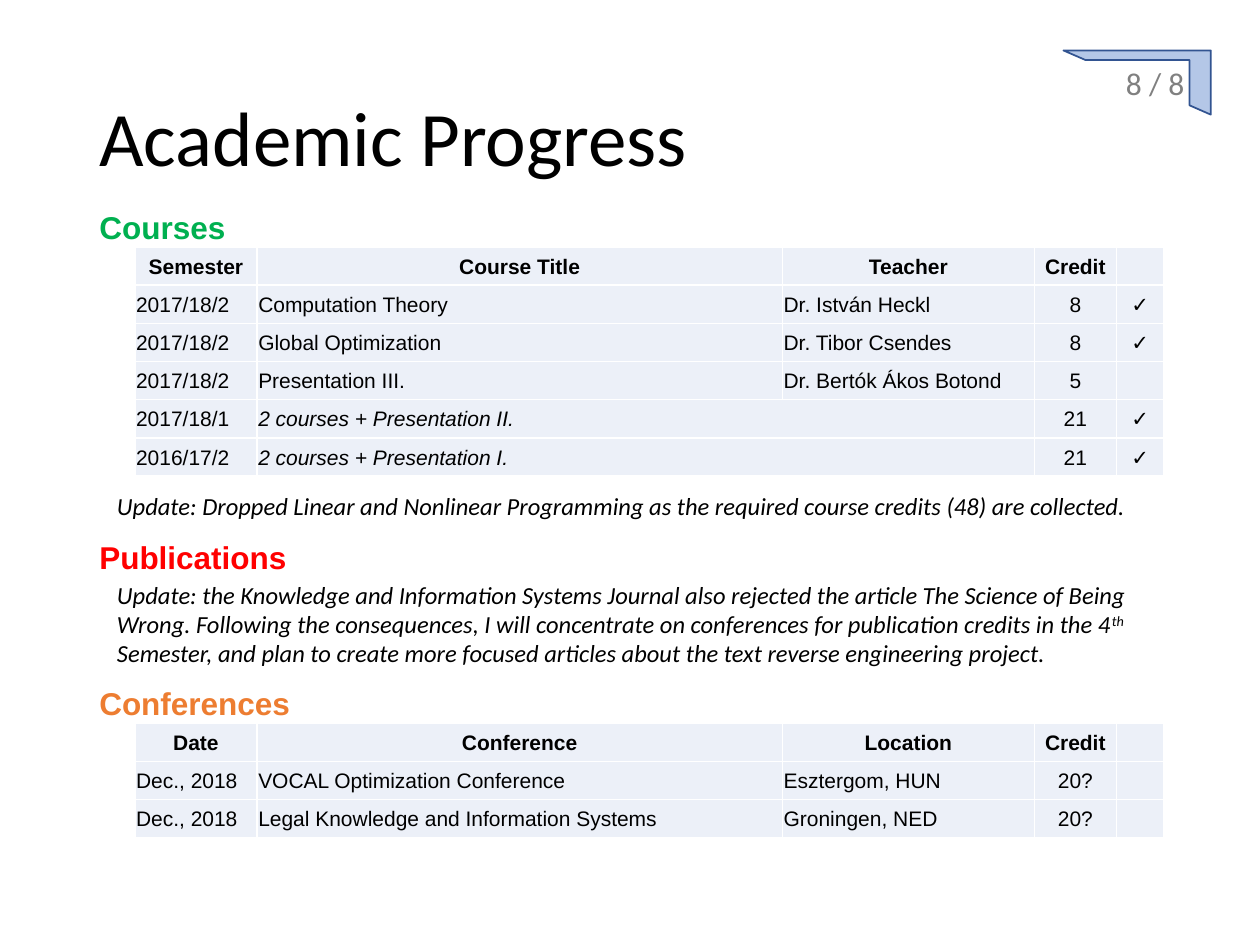
"""Builds the Academic Progress slide with its course and conference tables."""
from dataclasses import dataclass

from lxml.etree import SubElement
from pptx import Presentation
from pptx.dml.color import RGBColor
from pptx.enum.shapes import MSO_SHAPE as Preset
from pptx.enum.text import MSO_ANCHOR as Anchor, PP_ALIGN as Align
from pptx.oxml.ns import qn
from pptx.util import Inches, Pt


@dataclass(frozen=True)
class Theme:
    heading_font: str = "Arial"
    body_font: str = "Calibri"
    black: str = "000000"
    white: str = "FFFFFF"
    green: str = "00B050"
    red: str = "FF0000"
    orange: str = "ED7D31"
    grey: str = "808080"
    pale_blue: str = "B4C7E7"
    dark_blue: str = "325491"
    title_size: int = 44
    heading_size: int = 18
    note_size: int = 14
    cell_size: int = 12


theme = Theme()


def add_span(para, text, font, size, color, bold=False, italic=False):
    span = para.add_run()
    span.text = text
    span.font.name = font
    span.font.size = Pt(size)
    span.font.color.rgb = RGBColor.from_string(color)
    span.font.bold = bold
    span.font.italic = italic
    return span


def add_box(left, top, width, height, wrap=False):
    box = page.shapes.add_textbox(Inches(left), Inches(top), Inches(width), Inches(height))
    box.text_frame.word_wrap = wrap
    return box.text_frame


deck = Presentation()
deck.slide_width, deck.slide_height = Inches(10), Inches(7.5)
page = deck.slides.add_slide(deck.slide_layouts[6])

title = add_box(0.69, 0.4, 8.62, 1.45, wrap=True)
title.vertical_anchor = Anchor.MIDDLE
title.paragraphs[0].line_spacing = 0.9
add_span(title.paragraphs[0], "Academic Progress", theme.body_font, theme.title_size, theme.black)

courses = [
    ("Semester", "Course Title", "Teacher", "Credit", ""),
    ("2017/18/2", "Computation Theory", "Dr. István Heckl", "8", "✓"),
    ("2017/18/2", "Global Optimization", "Dr. Tibor Csendes", "8", "✓"),
    ("2017/18/2", "Presentation III.", "Dr. Bertók Ákos Botond", "5", ""),
    ("2017/18/1", "2 courses + Presentation II.", None, "21", "✓"),
    ("2016/17/2", "2 courses + Presentation I.", None, "21", "✓"),
]
conferences = [
    ("Date", "Conference", "Location", "Credit", ""),
    ("Dec., 2018", "VOCAL Optimization Conference", "Esztergom, HUN", "20?", ""),
    ("Dec., 2018", "Legal Knowledge and Information Systems", "Groningen, NED", "20?", ""),
]
column_widths = [0.97, 4.17, 2, 0.65, 0.38]

for top, height, records in [(1.96, 1.82, courses), (5.74, 0.91, conferences)]:
    table = page.shapes.add_table(
        len(records), len(column_widths), Inches(1.07), Inches(top), Inches(8.17), Inches(height)
    ).table
    table.first_row = table.horz_banding = False
    for column, width in zip(table.columns, column_widths):
        column.width = Inches(width)
    for row_index, record in enumerate(records):
        table.rows[row_index].height = Inches(height / len(records))
        merged = record[2] is None
        if merged:
            table.cell(row_index, 1).merge(table.cell(row_index, 2))
        for column_index, text in enumerate(record):
            cell = table.cell(row_index, column_index)
            cell.vertical_anchor = Anchor.MIDDLE
            cell.margin_left = cell.margin_right = cell.margin_top = Inches(0.01)
            cell.margin_bottom = 0
            properties = cell._tc.get_or_add_tcPr()
            for side in ("a:lnL", "a:lnR", "a:lnT", "a:lnB"):
                border = SubElement(properties, qn(side), w=str(Pt(1)))
                paint = SubElement(border, qn("a:solidFill"))
                SubElement(paint, qn("a:srgbClr"), val=theme.white)
            cell.fill.solid()
            cell.fill.fore_color.rgb = RGBColor.from_string(theme.pale_blue)
            tint = properties.find(qn("a:solidFill")).find(qn("a:srgbClr"))
            SubElement(tint, qn("a:alpha"), val="25000")
            para = cell.text_frame.paragraphs[0]
            header = row_index == 0
            para.alignment = Align.CENTER if header or column_index > 2 else Align.LEFT
            if text:
                add_span(para, text, theme.heading_font, theme.cell_size, theme.black,
                         bold=header, italic=merged and column_index == 1)
            else:
                SubElement(para._p, qn("a:endParaRPr"), sz=str(theme.cell_size * 100))

for text, top, width, color in [
    ("Courses", 1.6, 1.21, theme.green),
    ("Publications", 4.22, 1.7, theme.red),
    ("Conferences", 5.38, 1.73, theme.orange),
]:
    heading = add_box(0.69, top, width, 0.4)
    add_span(heading.paragraphs[0], text, theme.heading_font, theme.heading_size, color, bold=True)

course_update = [
    ("Update: Dropped Linear and Nonlinear Programming as the required course credits (48) "
     "are collected.", False),
]
publication_update = [
    ("Update: the Knowledge and Information Systems Journal also rejected the article "
     "The Science of Being Wrong. Following the consequences, I will concentrate on "
     "conferences for publication credits in the 4", False),
    ("th", True),
    (" Semester, and plan to create more focused articles about the text reverse "
     "engineering project.", False),
]
for top, width, height, wrap, pieces in [
    (3.85, 8.27, 0.34, False, course_update),
    (4.55, 8.41, 0.81, True, publication_update),
]:
    note = add_box(0.83, top, width, height, wrap)
    for text, raised in pieces:
        span = add_span(note.paragraphs[0], text, theme.body_font, theme.note_size,
                        theme.black, italic=True)
        if raised:
            span.font._element.set("baseline", "30000")

corner = page.shapes.add_shape(
    Preset.HALF_FRAME, Inches(8.44), Inches(0.4), Inches(1.17), Inches(0.51)
)
corner.shadow.inherit = False
corner.adjustments[0], corner.adjustments[1] = 0.15, 0.33
corner._element.spPr.find(qn("a:xfrm")).set("flipH", "1")
corner.fill.solid()
corner.fill.fore_color.rgb = RGBColor.from_string(theme.pale_blue)
corner.line.color.rgb = RGBColor.from_string(theme.dark_blue)
corner.line.width = Pt(1)
page_number = corner.text_frame
page_number.vertical_anchor = Anchor.MIDDLE
page_number.margin_left, page_number.margin_right = Inches(0.1), Inches(0.21)
page_number.margin_top = page_number.margin_bottom = Inches(0.05)
page_number.paragraphs[0].alignment = Align.RIGHT
add_span(page_number.paragraphs[0], "8 / 8", theme.body_font, theme.heading_size, theme.grey)

deck.save("out.pptx")
